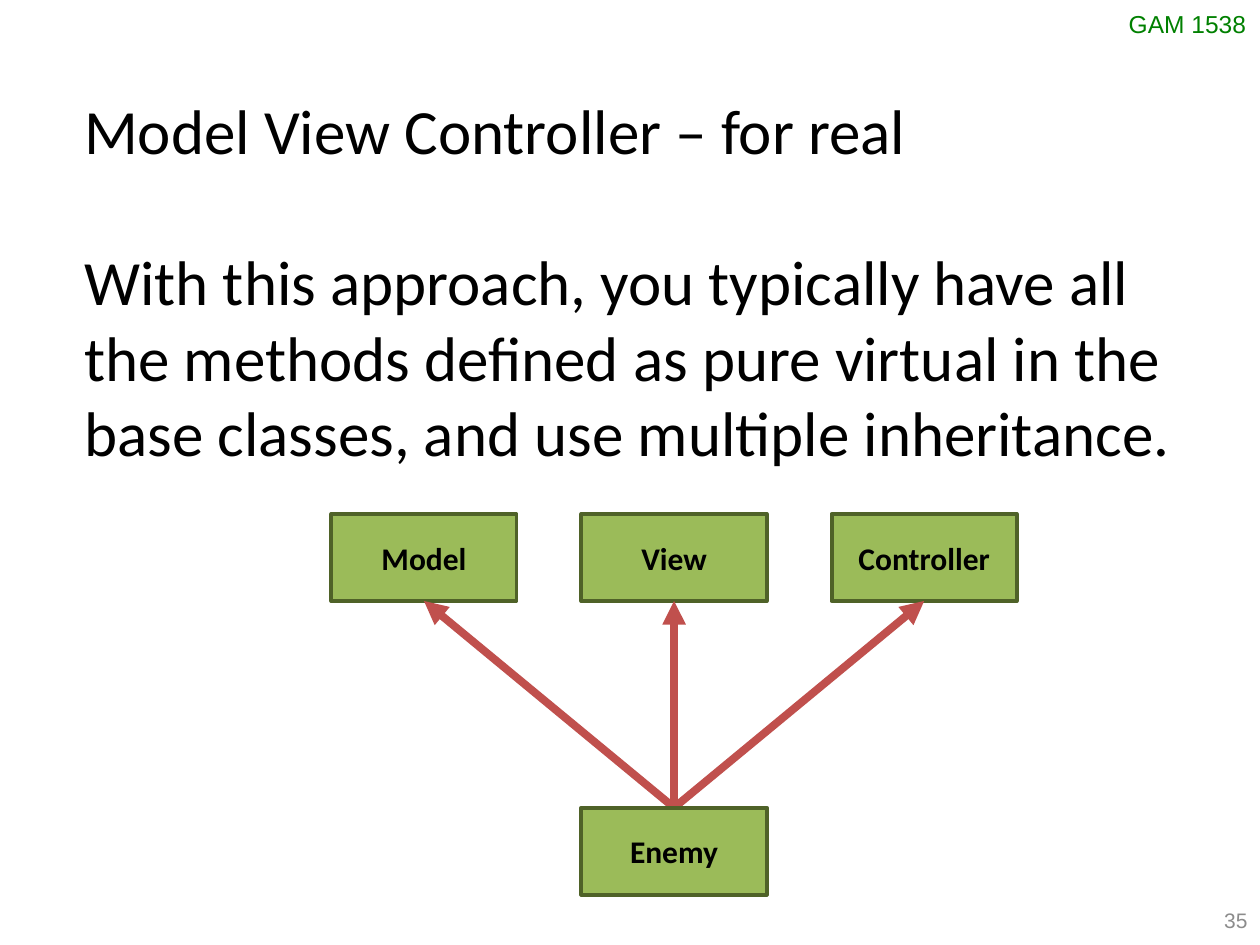
import pptx
import pptx.dml.color
import pptx.enum.shapes
import pptx.enum.text
import pptx.oxml.ns
import pptx.util
from dataclasses import dataclass
from lxml import etree
from pptx.util import Inches

ALIGN = pptx.enum.text.PP_ALIGN
ANCHOR = pptx.enum.text.MSO_ANCHOR


@dataclass(frozen=True)
class Theme:
    """Colours, fonts and sizes of the slide."""
    text: str = "000000"
    course: str = "008000"
    number: str = "8C8C8C"
    box: str = "9BBB59"
    border: str = "4F6228"
    arrow: str = "C0504D"
    body_font: str = "Calibri"
    margin_font: str = "Arial"
    body_size: int = 36
    label_size: int = 18
    course_size: int = 14
    number_size: int = 12
    border_width: float = 2.25
    arrow_width: float = 4.5


THEME = Theme()


def color(value):
    """Turn a hex string into a colour."""
    return pptx.dml.color.RGBColor.from_string(value)


def write(shape, *texts, size, font=THEME.body_font, fill=THEME.text, bold=False,
          align=ALIGN.LEFT, anchor=ANCHOR.TOP, wrap=True, gap=0):
    """Write one paragraph per text into a shape, with a gap between them."""
    frame = shape.text_frame
    frame.word_wrap = wrap
    frame.vertical_anchor = anchor
    for index, text in enumerate(texts):
        paragraph = frame.add_paragraph() if index else frame.paragraphs[0]
        paragraph.alignment = align
        paragraph.space_before = pptx.util.Pt(gap if index else 0)
        run = paragraph.add_run()
        run.text = text
        run.font.name = font
        run.font.size = pptx.util.Pt(size)
        run.font.bold = bold
        run.font.color.rgb = color(fill)


def add_text(slide, box, *texts, **text_format):
    """Add a text box at left, top, width, height in inches."""
    shape = slide.shapes.add_textbox(*map(Inches, box))
    write(shape, *texts, **text_format)


def add_class(slide, name, left, top, width, height):
    """Add a labelled class box."""
    shape = slide.shapes.add_shape(pptx.enum.shapes.MSO_SHAPE.RECTANGLE,
                                   *map(Inches, (left, top, width, height)))
    shape.shadow.inherit = False
    shape.fill.solid()
    shape.fill.fore_color.rgb = color(THEME.box)
    shape.line.color.rgb = color(THEME.border)
    shape.line.width = pptx.util.Pt(THEME.border_width)
    write(shape, name, size=THEME.label_size, bold=True,
          align=ALIGN.CENTER, anchor=ANCHOR.MIDDLE)
    return shape


def add_arrow(slide):
    """Add an unattached arrow with a triangular head."""
    arrow = slide.shapes.add_connector(
        pptx.enum.shapes.MSO_CONNECTOR.STRAIGHT, 0, 0, 0, 0)
    arrow.line.color.rgb = color(THEME.arrow)
    arrow.line.width = pptx.util.Pt(THEME.arrow_width)
    qualified = pptx.oxml.ns.qn
    etree.SubElement(arrow.line._get_or_add_ln(), qualified("a:tailEnd"), type="triangle")
    etree.SubElement(arrow._element.spPr, qualified("a:effectLst"))
    return arrow


def add_inheritance(slide, bases, derived, left, top, width, height):
    """Draw a row of base classes above the class derived from all of them."""
    box_width, box_height = 1.47, 0.69
    step = (width - box_width) / (len(bases) - 1)
    base_boxes = [add_class(slide, name, left + index * step, top, box_width, box_height)
                  for index, name in enumerate(bases)]
    arrows = [add_arrow(slide) for _ in bases]
    derived_box = add_class(slide, derived, left + (width - box_width) / 2,
                            top + height - box_height, box_width, box_height)
    for arrow, base_box in zip(arrows, base_boxes):
        arrow.begin_connect(derived_box, 0)
        arrow.end_connect(base_box, 2)


def add_margins(slide, course, number, width, height):
    """Place the course code at the top right and the number at the bottom right."""
    add_text(slide, (width - 1.14, 0.02, 1.14, 0.34), course, size=THEME.course_size,
             font=THEME.margin_font, fill=THEME.course, wrap=False)
    add_text(slide, (width - 2.33, height - 0.4, 2.33, 0.4), number,
             size=THEME.number_size, font=THEME.margin_font, fill=THEME.number,
             align=ALIGN.RIGHT, anchor=ANCHOR.MIDDLE)


def main():
    """Build and save the slide."""
    presentation = pptx.Presentation()
    presentation.slide_width = Inches(10)
    presentation.slide_height = Inches(7.5)
    slide = presentation.slides.add_slide(presentation.slide_layouts[6])
    add_margins(slide, "GAM 1538", "35", 10, 7.5)
    add_text(slide, (0.57, 0.68, 8.87, 3.13),
             "Model View Controller – for real",
             "With this approach, you typically have all the methods defined as "
             "pure virtual in the base classes, and use multiple inheritance.",
             size=THEME.body_size, gap=43)
    add_inheritance(slide, ("Model", "View", "Controller"), "Enemy",
                    2.63, 4.08, 5.44, 3.02)
    presentation.save("out.pptx")


main()
